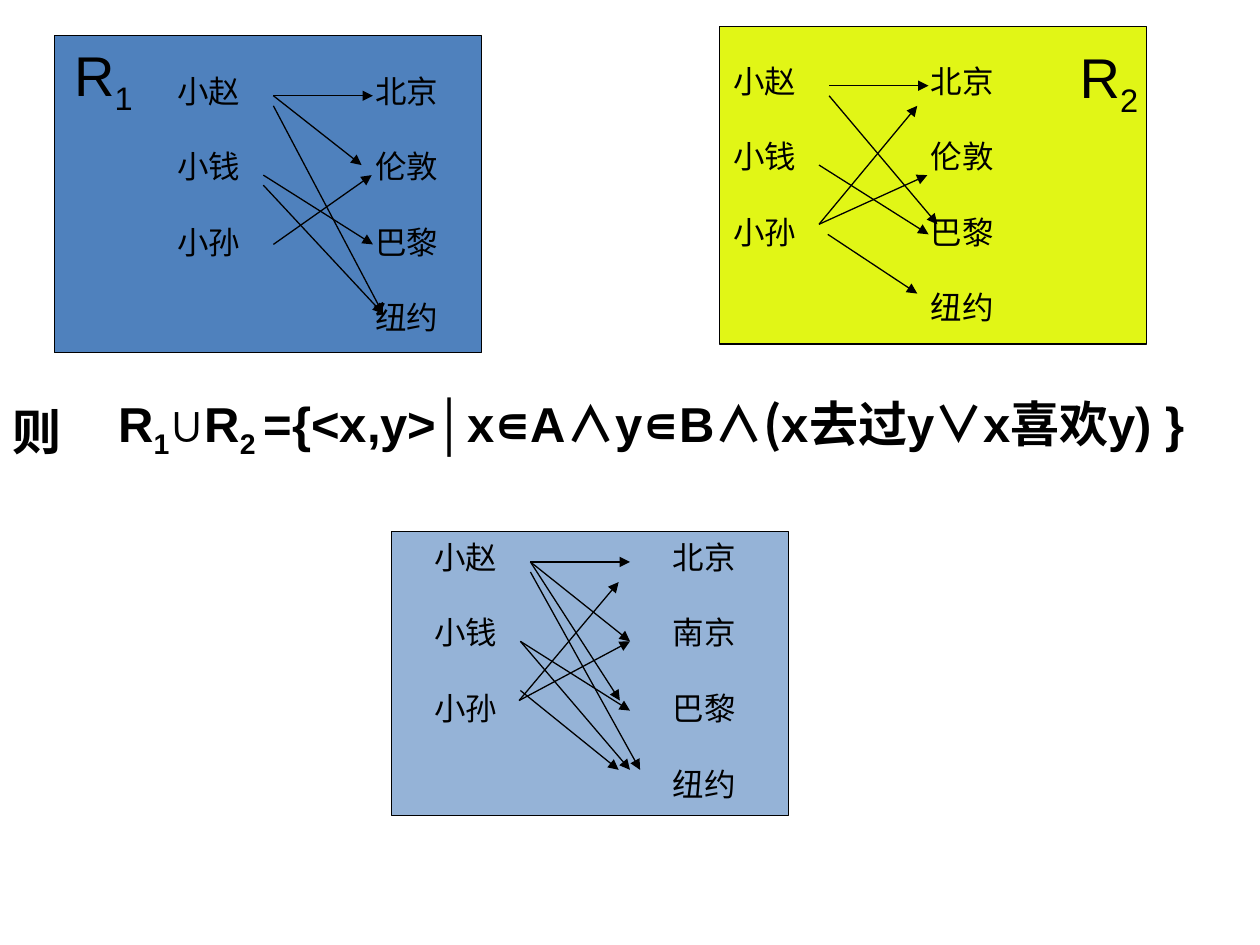
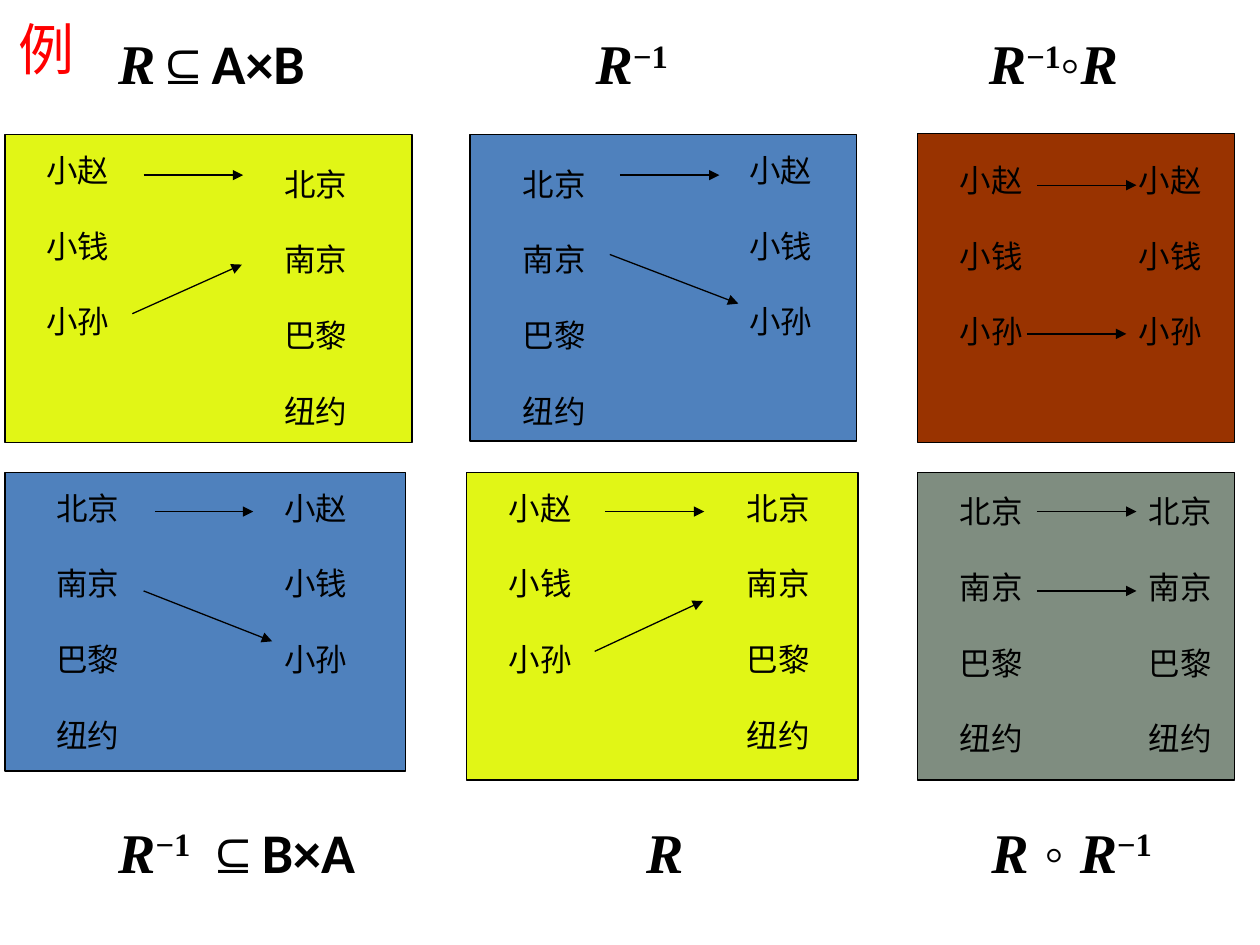
from lxml import etree
from pptx import Presentation
from pptx.dml.color import RGBColor
from pptx.enum.shapes import MSO_CONNECTOR, MSO_SHAPE
from pptx.oxml.ns import qn
from pptx.util import Inches, Pt

BLUE, YELLOW, PALE = "4F81BD", "E1F616", "95B3D7"
RUST, GREY, BLACK, RED = "993300", "7F8D80", "000000", "FF0000"
SANS, SERIF, CJK, CALI = "Arial", "Times New Roman", "Noto Sans CJK SC", "Calibri"

PEOPLE = ["小赵", "小钱", "小孙"]
ABROAD = ["北京", "伦敦", "巴黎", "纽约"]
CITIES = ["北京", "南京", "巴黎", "纽约"]


def paint(color, code):
    color.rgb = RGBColor.from_string(code)


def write(para, text, size=18, face=SANS, color=BLACK, bold=False, slant=False, base=0):
    """Add one formatted run; base is the raise or drop in percent."""
    run = para.add_run()
    run.text = text
    font = run.font
    font.size, font.name, font.bold, font.italic = Pt(size), face, bold, slant
    paint(font.color, color)
    props = run._r.get_or_add_rPr()
    if base:
        props.set("baseline", str(base * 1000))
    etree.SubElement(props, qn("a:ea")).set("typeface", CJK)


class Deck:
    def __init__(self):
        self.prs = Presentation()
        self.prs.slide_width, self.prs.slide_height = Inches(10), Inches(7.5)
        self.slide = None

    def page(self):
        self.slide = self.prs.slides.add_slide(self.prs.slide_layouts[6])

    def panel(self, box, fill):
        shape = self.slide.shapes.add_shape(MSO_SHAPE.RECTANGLE, *map(Inches, box))
        shape.shadow.inherit = False
        shape.fill.solid()
        paint(shape.fill.fore_color, fill)
        paint(shape.line.color, BLACK)
        shape.line.width = Pt(0.75)

    def text(self, box, rows, size=18, hang=0, **style):
        """Each row is a list of runs (text, format)."""
        frame = self.slide.shapes.add_textbox(*map(Inches, box)).text_frame
        frame.word_wrap = True
        for i, row in enumerate(rows):
            para = frame.paragraphs[0] if i == 0 else frame.add_paragraph()
            para.line_spacing = Pt(size * 1.2)
            if i:
                para.space_before = Pt(size * 1.2)
            if hang:
                props = para._p.get_or_add_pPr()
                props.set("marL", str(Inches(hang)))
                props.set("indent", str(-Inches(hang)))
            for words, extra in row:
                write(para, words, **{"size": size, **style, **extra})

    def names(self, left, top, items):
        self.text((left, top, 0.8, 0.6 * len(items)), [[(item, {})] for item in items])

    def arrow(self, *ends):
        line = self.slide.shapes.add_connector(MSO_CONNECTOR.STRAIGHT, *map(Inches, ends))
        paint(line.line.color, BLACK)
        line.line.width = Pt(0.75)
        etree.SubElement(line.line._get_or_add_ln(), qn("a:tailEnd")).set("type", "triangle")
        etree.SubElement(line._element.spPr, qn("a:effectLst"))

    def board(self, box, fill, lists, arrows):
        """A coloured panel with its columns of names and the arrows between."""
        self.panel(box, fill)
        for column in lists:
            self.names(*column)
        for ends in arrows:
            self.arrow(*ends)

    def label(self, left, top, *runs, wide=2.4, **style):
        self.text((left, top, wide, 0.64), [runs], size=32, **style)


# Run formats
LOW = {"base": -25}
WIDE = {"face": CJK}
SIGN = {"face": SANS, "bold": False, "slant": False}
RING = {"face": SANS, "slant": False}
SETS = {"face": CALI, "slant": False}
REL = ("R", {})
INV = ("−1", {"slant": False, "base": 30})


def union(deck):
    deck.page()
    # Union of the two relations
    deck.board((3.11, 4.22, 3.15, 2.25), PALE,
               [(3.35, 4.22, PEOPLE), (5.24, 4.22, CITIES)],
               [(4.21, 4.54, 5.08, 6.11), (4.21, 4.46, 5, 4.46), (4.13, 5.09, 5, 5.64),
                (4.12, 5.56, 4.91, 4.62), (4.12, 5.56, 5, 5.09), (4.13, 5.48, 4.91, 6.11),
                (4.21, 4.46, 5, 5.09), (4.13, 5.09, 5, 6.11), (4.21, 4.46, 4.92, 5.56)])
    # Formula
    deck.text((0, 3.14, 0.8, 0.6), [[("则", {})]], size=28, bold=True)
    deck.text((0.84, 3.14, 9.04, 1.16),
              [[REL, ("1", LOW), ("∪R", {}), ("2 ", LOW), ("={<x,y>│x∊A", {}),
                ("∧", WIDE), ("y∊B", {}), ("∧(", WIDE), ("x去过y", {}),
                ("∨", WIDE), ("x喜欢y) }", {})]],
              size=28, hang=1.9, bold=True)
    # First relation
    deck.board((0.43, 0.28, 3.39, 2.52), BLUE,
               [(1.31, 0.52, PEOPLE), (2.88, 0.52, ABROAD)],
               [(2.17, 0.76, 2.87, 1.31), (2.17, 0.84, 3.04, 2.49), (2.17, 1.94, 2.95, 1.39),
                (2.17, 0.76, 2.96, 0.76), (2.09, 1.47, 3.04, 2.49), (2.09, 1.39, 2.96, 1.94)])
    deck.label(0.49, 0.35, REL, ("1", LOW), wide=0.79)
    # Second relation
    deck.board((5.71, 0.21, 3.39, 2.52), YELLOW,
               [(5.72, 0.44, PEOPLE), (7.29, 0.44, ABROAD)],
               [(6.58, 0.76, 7.44, 1.78), (6.58, 0.68, 7.37, 0.68), (6.5, 1.31, 7.37, 1.86),
                (6.5, 1.78, 7.28, 0.84), (6.5, 1.78, 7.36, 1.39), (6.57, 1.86, 7.28, 2.33)])
    deck.label(8.47, 0.36, REL, ("2", LOW), wide=0.79)


def inverse(deck):
    deck.page()
    # Upper row: relation, inverse, composition
    deck.board((0.04, 1.07, 3.23, 2.44), YELLOW,
               [(0.27, 1.15, PEOPLE), (2.16, 1.26, CITIES)],
               [(1.14, 1.39, 1.93, 1.39), (1.05, 2.49, 1.92, 2.1)])
    deck.board((3.73, 1.07, 3.07, 2.43), BLUE,
               [(4.05, 1.26, CITIES), (5.85, 1.15, PEOPLE)],
               [(4.92, 1.39, 5.71, 1.39), (4.84, 2.02, 5.86, 2.41)])
    deck.board((7.28, 1.06, 2.52, 2.45), RUST,
               [(7.52, 1.23, PEOPLE), (8.94, 1.23, PEOPLE)],
               [(8.23, 1.47, 9.02, 1.47), (8.15, 2.65, 8.94, 2.65)])
    # Lower row: inverse, relation, composition
    deck.board((0.04, 3.75, 3.18, 2.37), BLUE,
               [(0.35, 3.83, CITIES), (2.16, 3.83, PEOPLE)],
               [(1.23, 4.06, 2.01, 4.06), (1.14, 4.69, 2.16, 5.09)])
    deck.board((3.7, 3.75, 3.11, 2.44), YELLOW,
               [(3.94, 3.83, PEOPLE), (5.83, 3.83, CITIES)],
               [(4.8, 4.06, 5.59, 4.06), (4.72, 5.17, 5.58, 4.77)])
    deck.board((7.28, 3.75, 2.52, 2.44), GREY,
               [(7.52, 3.86, CITIES), (9.02, 3.86, CITIES)],
               [(8.23, y, 9.02, y) for y in (4.06, 4.69)])
    # Headings
    deck.label(0.05, 0.07, ("例", {}), wide=0.7, color=RED)
    heads = [
        (0.84, 0.18, REL, ("⊆", SIGN), ("A×B", SETS)),
        (4.63, 0.18, REL, INV),
        (7.75, 0.18, REL, INV, ("◦", RING), REL),
        (0.84, 6.44, REL, INV, (" ⊆", SIGN), ("B×A", SETS)),
        (5.03, 6.44, REL),
        (7.77, 6.44, REL, (" ◦ ", RING), REL, INV),
    ]
    for head in heads:
        deck.label(*head, face=SERIF, bold=True, slant=True)


def main():
    deck = Deck()
    union(deck)
    inverse(deck)
    deck.prs.save("out.pptx")


if __name__ == "__main__":
    main()
